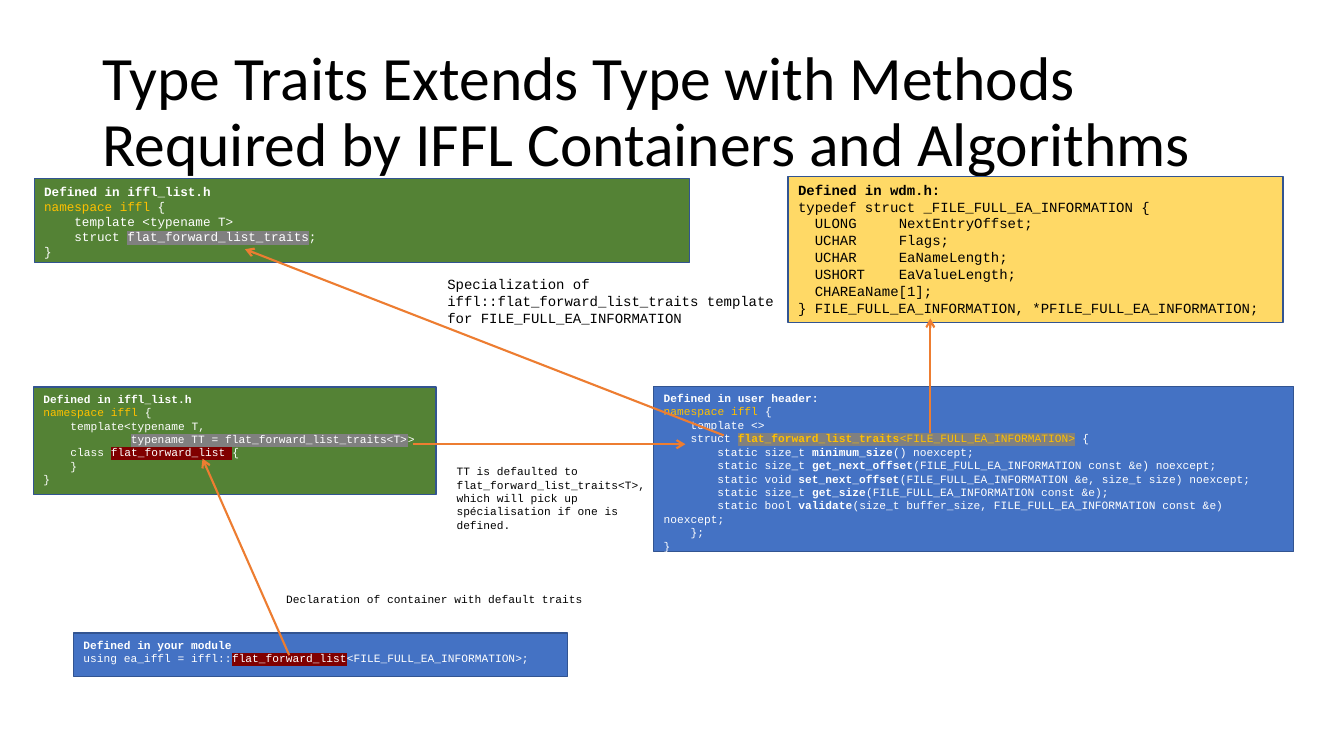
from dataclasses import dataclass

from lxml.etree import SubElement
from pptx import Presentation
from pptx.dml.color import RGBColor
from pptx.enum.shapes import MSO_CONNECTOR, MSO_SHAPE
from pptx.enum.text import MSO_ANCHOR, PP_ALIGN
from pptx.oxml.ns import qn
from pptx.util import Pt


@dataclass(frozen=True)
class Theme:
    black: str = "000000"
    white: str = "FFFFFF"
    yellow: str = "FFD966"
    green: str = "548235"
    blue: str = "4472C4"
    border: str = "325491"
    arrow: str = "ED7D31"
    keyword: str = "FFC000"
    grey_mark: str = "808080"
    red_mark: str = "800000"
    title_font: str = "Calibri"
    code_font: str = "Courier New"
    title_size: int = 44
    large: int = 10
    medium: int = 9
    small: int = 8


THEME = Theme()
CHAR_WIDTH = 0.6  # width of a monospaced character, in ems

# Run styles; a missing colour means the colour of the box
PLAIN = {}
BOLD = {"bold": True}
KEYWORD = {"color": THEME.keyword}
GREY = {"mark": THEME.grey_mark}
RED = {"mark": THEME.red_mark}
KEYWORD_GREY = KEYWORD | GREY

NAMESPACE = [("namespace iffl ", KEYWORD), ("{", PLAIN)]

# Code lines: a string is one plain run, a list holds (text, style) runs
WDM_CODE = [
    [("Defined in wdm.h:", BOLD)],
    "typedef struct _FILE_FULL_EA_INFORMATION {",
    "  ULONG\tNextEntryOffset;",
    "  UCHAR\tFlags;",
    "  UCHAR\tEaNameLength;",
    "  USHORT\tEaValueLength;",
    "  CHAR\tEaName[1];",
    "} FILE_FULL_EA_INFORMATION, *PFILE_FULL_EA_INFORMATION;",
]
TRAITS_CODE = [
    [("Defined in iffl_list.h", BOLD)],
    NAMESPACE,
    "    template <typename T>",
    [("    struct ", PLAIN), ("flat_forward_list_traits", GREY), (";", PLAIN)],
    "}",
]
LIST_CODE = [
    [("Defined in iffl_list.h", BOLD)],
    NAMESPACE,
    "    template<typename T,",
    [("             typename TT = flat_forward_list_traits<T>", GREY), (">", PLAIN)],
    [("    class ", PLAIN), ("flat_forward_list ", RED), ("{", PLAIN)],
    "    }",
    "}",
]
METHODS = [
    ("size_t", "minimum_size", "() noexcept;"),
    ("size_t", "get_next_offset", "(FILE_FULL_EA_INFORMATION const &e) noexcept;"),
    ("void", "set_next_offset", "(FILE_FULL_EA_INFORMATION &e, size_t size) noexcept;"),
    ("size_t", "get_size", "(FILE_FULL_EA_INFORMATION const &e);"),
    ("bool", "validate",
     "(size_t buffer_size, FILE_FULL_EA_INFORMATION const &e) noexcept;"),
]
USER_CODE = [
    [("Defined in user header:", BOLD)],
    NAMESPACE,
    "    template <>",
    [("    struct ", PLAIN), ("flat_forward_list_traits", KEYWORD_GREY | BOLD),
     ("<FILE_FULL_EA_INFORMATION>", KEYWORD_GREY), (" {", PLAIN)],
    *[[(f"        static {kind} ", PLAIN), (name, BOLD), (rest, PLAIN)]
      for kind, name, rest in METHODS],
    "    };",
    "}",
]
MODULE_CODE = [
    [("Defined in your module", BOLD)],
    [("using ea_iffl = iffl::", PLAIN), ("flat_forward_list", RED),
     ("<FILE_FULL_EA_INFORMATION>;", PLAIN)],
]


def add_run(p, text, font, size, color, bold=False, mark=None):
    r = p.add_run()
    r.text = text
    r.font.size = Pt(size)
    r.font.bold = bold
    r.font.color.rgb = RGBColor.from_string(color)
    if mark:
        highlight = SubElement(r.font._element, qn("a:highlight"))
        SubElement(highlight, qn("a:srgbClr"), val=mark)
    r.font.name = font


def indent_line(p, columns, size, tab_column=None):
    """Indent the first line by code columns and set an optional tab stop."""
    p_pr = p._p.get_or_add_pPr()
    p_pr.set("marL", "0")
    p_pr.set("indent", str(Pt(columns * CHAR_WIDTH * size)))
    if tab_column:
        tabs = SubElement(p_pr, qn("a:tabLst"))
        SubElement(tabs, qn("a:tab"), algn="l",
                   pos=str(Pt(tab_column * CHAR_WIDTH * size)))


def fill_text(sp, lines, size, color, font=THEME.code_font, anchor=MSO_ANCHOR.TOP):
    tf = sp.text_frame
    tf.word_wrap = True
    tf.vertical_anchor = anchor
    for i, line in enumerate(lines):
        p = tf.paragraphs[0] if i == 0 else tf.add_paragraph()
        p.alignment = PP_ALIGN.LEFT
        runs = [(line, PLAIN)] if isinstance(line, str) else line
        first, style = runs[0]
        code = first.lstrip(" ")
        columns = len(first) - len(code)
        if columns:
            indent_line(p, columns, size, 9 if "\t" in code else None)
        for text, look in [(code, style), *runs[1:]]:
            add_run(p, text, font, size, **({"color": color} | look))
    return tf


def add_code_box(slide, box, lines, fill, size, color=THEME.white):
    sp = slide.shapes.add_shape(MSO_SHAPE.RECTANGLE, *map(Pt, box))
    sp.shadow.inherit = False
    sp.fill.solid()
    sp.fill.fore_color.rgb = RGBColor.from_string(fill)
    sp.line.color.rgb = RGBColor.from_string(THEME.border)
    sp.line.width = Pt(1)
    fill_text(sp, lines, size, color)


def add_label(slide, box, lines, size, font=THEME.code_font):
    sp = slide.shapes.add_textbox(*map(Pt, box))
    return fill_text(sp, lines, size, THEME.black, font, MSO_ANCHOR.MIDDLE)


def add_arrow(slide, *ends):
    line = slide.shapes.add_connector(MSO_CONNECTOR.STRAIGHT, *map(Pt, ends))
    line.line.color.rgb = RGBColor.from_string(THEME.arrow)
    line.line.width = Pt(1.5)
    SubElement(line.line._get_or_add_ln(), qn("a:tailEnd"), type="arrow")
    SubElement(line._element.spPr, qn("a:effectLst"))


def main():
    prs = Presentation()
    prs.slide_width, prs.slide_height = Pt(960), Pt(540)
    slide = prs.slides.add_slide(prs.slide_layouts[6])

    # Title
    tf = add_label(slide, (66, 28.75, 828, 104.4),
                   ["Type Traits Extends Type with Methods "
                    "Required by IFFL Containers and Algorithms"],
                   THEME.title_size, THEME.title_font)
    tf.paragraphs[0].line_spacing = 0.9

    # Code boxes
    add_code_box(slide, (563, 126, 353.6, 104.2), WDM_CODE, THEME.yellow,
                 THEME.large, THEME.black)
    add_code_box(slide, (24.5, 127.5, 468, 60), TRAITS_CODE, THEME.green, THEME.medium)
    add_code_box(slide, (467, 276, 457, 118), USER_CODE, THEME.blue, THEME.small)
    add_code_box(slide, (24, 276.5, 287.5, 77), LIST_CODE, THEME.green, THEME.small)
    add_code_box(slide, (52.5, 452.25, 353, 31), MODULE_CODE, THEME.blue, THEME.small)

    # Arrows from each use to its definition
    add_arrow(slide, 517, 311, 175, 178)
    add_arrow(slide, 664.5, 309.6, 664.5, 227.5)
    add_arrow(slide, 295.2, 317.3, 489.6, 317.3)
    add_arrow(slide, 206.6, 468, 144.7, 327.6)

    # Explanations beside the arrows
    add_label(slide, (312.5, 198, 287.3, 34),
              ["Specialization of", "iffl::flat_forward_list_traits template",
               "for FILE_FULL_EA_INFORMATION"], THEME.large)
    add_label(slide, (319, 327.6, 152.6, 56.2),
              ["TT is defaulted to", "flat_forward_list_traits<T>, which will pick up "
               "spécialisation if one is defined."], THEME.small)
    add_label(slide, (197.3, 416.2, 232.6, 23.8),
              ["Declaration of container with default traits"], THEME.small)

    prs.save("out.pptx")


if __name__ == "__main__":
    main()
